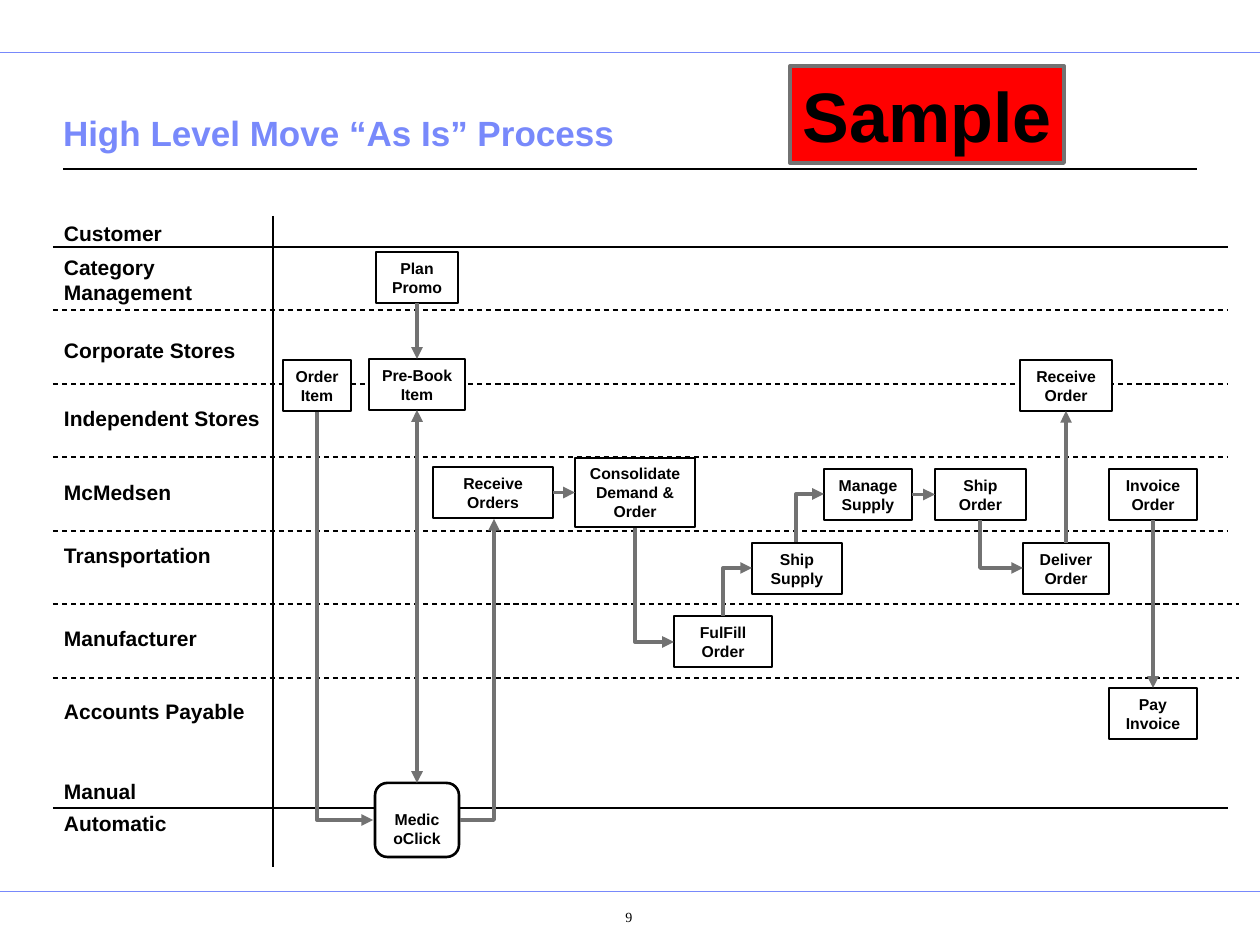
from dataclasses import dataclass

from lxml.etree import SubElement as Sub
from pptx import Presentation
from pptx.dml.color import RGBColor
from pptx.enum.dml import MSO_LINE as Dash
from pptx.enum.shapes import MSO_CONNECTOR as Conn, MSO_SHAPE as Kind
from pptx.enum.text import MSO_ANCHOR as Anchor, PP_ALIGN as Align
from pptx.oxml.ns import qn
from pptx.util import Emu, Pt

BLACK, WHITE, GREY, BLUE = "000000", "FFFFFF", "727272", "7889FB"
TOP, LEFT, LOW, RIGHT = range(4)


def px(n: float) -> Emu:
    return Emu(round(n * 914400 / 126))


def color(code: str) -> RGBColor:
    return RGBColor.from_string(code)


@dataclass
class Label:
    text: str
    y: int
    h: int = 37
    w: int = 221


@dataclass
class Node:
    text: str  # paragraphs are split by |
    x: int
    y: int
    w: int
    h: int = 51
    wrap: bool = True
    kind: int = Kind.FLOWCHART_PROCESS
    edge: float = 0.75
    top: int = 6


@dataclass
class Link:
    a: str
    out: int
    b: str
    into: int
    both: bool = False


@dataclass
class Bend:
    x1: int
    y1: int
    x2: int
    y2: int
    down: bool = True  # first leg is vertical


def write(shape, text: str, size: float, code: str = BLACK, bold: bool = True,
          font: str = "Arial", align=Align.LEFT, anchor=Anchor.MIDDLE,
          wrap: bool = True, pad: tuple = (12, 6, 12, 6)) -> None:
    frame = shape.text_frame
    frame.word_wrap, frame.vertical_anchor = wrap, anchor
    (frame.margin_left, frame.margin_top,
     frame.margin_right, frame.margin_bottom) = map(px, pad)
    for i, line in enumerate(text.split("|")):
        para = frame.add_paragraph() if i else frame.paragraphs[0]
        para.alignment = align
        run = para.add_run()
        run.text = line
        run.font.name, run.font.size, run.font.bold = font, Pt(size), bold
        run.font.color.rgb = color(code)


def add_text(x: int, y: int, w: int, h: int, text: str, size: float, **look) -> None:
    write(shapes.add_textbox(px(x), px(y), px(w), px(h)), text, size, **look)


def add_line(x1: int, y1: int, x2: int, y2: int, code: str = BLACK,
             width: float = 0.75, kind=Conn.STRAIGHT, dash: bool = False):
    line = shapes.add_connector(kind, px(x1), px(y1), px(x2), px(y2))
    line.line.color.rgb, line.line.width = color(code), Pt(width)
    if dash:
        line.line.dash_style = Dash.DASH
    Sub(line._element.spPr, qn("a:effectLst"))
    return line


def add_heads(line, both: bool = False) -> None:
    for tag in ("a:headEnd", "a:tailEnd")[0 if both else 1:]:
        Sub(line.line._get_or_add_ln(), qn(tag), type="triangle")


def add_box(node: Node, fill: str = WHITE, edge: str = BLACK, size: float = 9):
    box = shapes.add_shape(node.kind, px(node.x), px(node.y), px(node.w), px(node.h))
    box.shadow.inherit = False
    box.fill.solid()
    box.fill.fore_color.rgb = color(fill)
    box.line.color.rgb, box.line.width = color(edge), Pt(node.edge)
    write(box, node.text, size, align=Align.CENTER, wrap=node.wrap,
          pad=(12, node.top, 12, 6))
    return box


def add_link(link: Link) -> None:
    line = add_line(0, 0, 0, 0, GREY, 2.25)
    line.begin_connect(boxes[link.a], link.out)
    line.end_connect(boxes[link.b], link.into)
    add_heads(line, link.both)


def add_bend(bend: Bend) -> None:
    line = add_line(bend.x1, bend.y1, bend.x2, bend.y2, GREY, 2.25, Conn.ELBOW)
    add_heads(line)
    prop = line._element.spPr
    prop.find(qn("a:prstGeom")).set("prst", "bentConnector2")
    if bend.down:
        # Turn the frame about its centre so that the first leg is vertical
        w, h = abs(bend.x2 - bend.x1), abs(bend.y2 - bend.y1)
        line.left = px((bend.x1 + bend.x2 - h) / 2)
        line.top = px((bend.y1 + bend.y2 - w) / 2)
        line.width, line.height = px(h), px(w)
        up = bend.y2 < bend.y1
        form = prop.find(qn("a:xfrm"))
        form.set("rot", str((90 if up else 270) * 60000))
        form.set("flipH", "1")
        form.set("flipV", "1" if up else "0")


LABELS = [
    Label("Customer", 215), Label("Category Management", 249, 62, 189),
    Label("Corporate Stores", 332), Label("Independent Stores", 400),
    Label("McMedsen", 474), Label("Transportation", 537),
    Label("Manufacturer", 620), Label("Accounts Payable", 693),
    Label("Manual", 773), Label("Automatic", 805),
]
NODES = {
    "plan": Node("Plan|Promo", 376, 252, 82),
    "book": Node("Pre-Book|Item", 369, 359, 96),
    "item": Node("Order|Item", 283, 360, 68, wrap=False),
    "click": Node("MedicoClick", 375, 783, 84, 74, edge=1.5, top=24,
                  kind=Kind.FLOWCHART_ALTERNATE_PROCESS),
    "orders": Node("Receive Orders", 433, 467, 120),
    "demand": Node("Consolidate|Demand & Order", 575, 458, 120, 69),
    "fill": Node("FulFill Order", 674, 616, 98),
    "send": Node("Ship|Supply", 752, 543, 90),
    "manage": Node("Manage Supply", 824, 469, 88),
    "ship": Node("Ship|Order", 935, 469, 91),
    "deliver": Node("Deliver|Order", 1023, 543, 86),
    "receive": Node("Receive|Order", 1020, 360, 92),
    "invoice": Node("Invoice Order", 1109, 469, 88),
    "pay": Node("Pay Invoice", 1109, 688, 88),
}
LINKS = [
    Link("plan", LOW, "book", TOP), Link("book", LOW, "click", TOP, True),
    Link("orders", RIGHT, "demand", LEFT), Link("manage", RIGHT, "ship", LEFT),
    Link("deliver", TOP, "receive", LOW), Link("invoice", LOW, "pay", TOP),
]
BENDS = [
    Bend(460, 820, 494, 519, False), Bend(317, 412, 373, 820),
    Bend(635, 528, 674, 642), Bend(723, 616, 752, 568),
    Bend(796, 542, 824, 494), Bend(980, 520, 1023, 568),
]

deck = Presentation()
deck.slide_width, deck.slide_height = px(1260), px(945)
slide = deck.slides.add_slide(deck.slide_layouts[5])
shapes = slide.shapes

# Page rules, title and page number
for y in (52, 891):
    add_line(0, y, 1260, y, BLUE, 0.5)
add_line(63, 169, 1197, 169)
title = shapes.title
title.left, title.top, title.width, title.height = map(px, (63, 81, 1134, 79))
write(title, "High Level Move “As Is” Process", 20, BLUE,
      anchor=Anchor.BOTTOM, pad=(0, 6, 0, 6))
add_text(538, 900, 145, 44, "9", 8, bold=False, font="Times New Roman",
         align=Align.CENTER, anchor=Anchor.TOP, pad=(50, 9, 13, 6))

# Swim lanes
add_line(273, 216, 273, 867)
for y in (247, 808):
    add_line(53, y, 1228, y)
for i in range(6):
    y = round(310 + 73.6 * i)
    add_line(53, y, 1228 if i < 4 else 1239, y, dash=True)
for lab in LABELS:
    add_text(52, lab.y, lab.w, lab.h, lab.text, 12, wrap=lab.h > 40)

# Process steps and arrows
boxes = {key: add_box(node) for key, node in NODES.items()}
for link in LINKS:
    add_link(link)
for bend in BENDS:
    add_bend(bend)

# Stamp
add_box(Node("Sample", 790, 66, 274, 97, wrap=False, kind=Kind.RECTANGLE, edge=2.25),
        "FF0000", GREY, 40)

deck.save("out.pptx")
